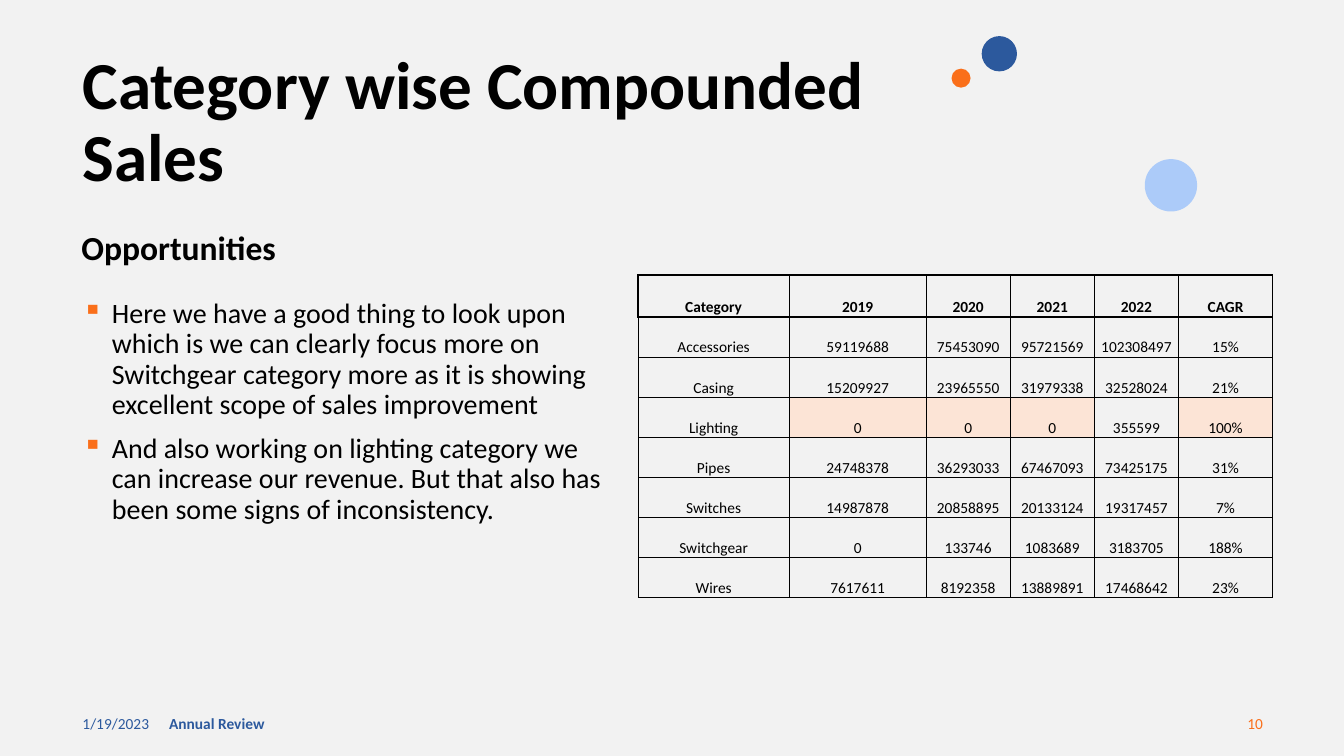
import pptx
import pptx.util
import pptx.dml.color
import pptx.enum.shapes
import pptx.enum.text
import pptx.oxml
import pptx.oxml.ns

Cm = pptx.util.Cm
Pt = pptx.util.Pt
ANCHOR = pptx.enum.text.MSO_ANCHOR
ALIGN = pptx.enum.text.PP_ALIGN
NAMESPACE = pptx.oxml.ns.nsdecls("a")
BLACK, BLUE, ORANGE = "000000", "2C599D", "FA6F1A"


def color(hex_string):
    return pptx.dml.color.RGBColor.from_string(hex_string)


def format_text(paragraph, text, size, hex_string=BLACK, bold=False, **paragraph_format):
    paragraph.text = text
    for name, value in paragraph_format.items():
        setattr(paragraph, name, value)
    font_format = {"name": "Calibri", "size": Pt(size), "bold": bold}
    for name, value in font_format.items():
        setattr(paragraph.font, name, value)
    paragraph.font.color.rgb = color(hex_string)


presentation = pptx.Presentation()
presentation.slide_width = Cm(33.87)
presentation.slide_height = Cm(19.05)
slide = presentation.slides.add_slide(presentation.slide_layouts[6])
slide.background.fill.solid()
slide.background.fill.fore_color.rgb = color("F2F2F2")

# Decorative circles: left, top, diameter, colour
circles = [
    (28.85, 4.01, 1.32, "ACCBF9"),
    (24.74, 0.91, 0.89, BLUE),
    (23.98, 1.73, 0.48, ORANGE),
]
for left, top, diameter, hex_string in circles:
    circle = slide.shapes.add_shape(
        pptx.enum.shapes.MSO_SHAPE.OVAL, Cm(left), Cm(top), Cm(diameter), Cm(diameter)
    )
    circle.shadow.inherit = False
    circle.fill.solid()
    circle.fill.fore_color.rgb = color(hex_string)
    circle.line.fill.background()

# Title, heading and footer: left, top, width, height, anchor, text, format
heading_format = {"bold": True, "line_spacing": 0.9}
single_texts = [
    (1.83, 1.17, 22.99, 2.31, ANCHOR.TOP, "Category wise Compounded Sales",
     {"size": 48, **heading_format}),
    (1.8, 5.72, 14.12, 1.22, ANCHOR.TOP, "Opportunities",
     {"size": 24, **heading_format}),
    (1.83, 17.73, 7.62, 1.02, ANCHOR.MIDDLE, "1/19/2023",
     {"size": 11, "hex_string": BLUE}),
    (4.01, 17.73, 11.43, 1.02, ANCHOR.MIDDLE, "Annual Review",
     {"size": 11, "hex_string": BLUE, "bold": True}),
    (24.46, 17.73, 7.62, 1.02, ANCHOR.MIDDLE, "10",
     {"size": 11, "hex_string": ORANGE, "alignment": ALIGN.RIGHT}),
]
for left, top, width, height, anchor, text, text_format in single_texts:
    frame = slide.shapes.add_textbox(Cm(left), Cm(top), Cm(width), Cm(height)).text_frame
    frame.word_wrap = True
    frame.vertical_anchor = anchor
    format_text(frame.paragraphs[0], text, **text_format)

# Bulleted opportunities
opportunities = [
    "Here we have a good thing to look upon which is we can clearly focus more on "
    "Switchgear category more as it is showing excellent scope of sales improvement",
    "And also working on lighting category we can increase our revenue. "
    "But that also has been some signs of inconsistency.",
]
frame = slide.shapes.add_textbox(Cm(1.83), Cm(7.42), Cm(14.07), Cm(8.15)).text_frame
frame.word_wrap = True
for index, text in enumerate(opportunities):
    paragraph = frame.add_paragraph() if index else frame.paragraphs[0]
    properties = paragraph._p.get_or_add_pPr()
    properties.set("marL", str(Cm(0.74)))
    properties.set("indent", str(-Cm(0.74)))
    for bullet in (
        f'<a:buClr {NAMESPACE}><a:srgbClr val="{ORANGE}"/></a:buClr>',
        f'<a:buChar {NAMESPACE} char="▪"/>',
    ):
        properties.append(pptx.oxml.parse_xml(bullet))
    format_text(paragraph, text, 20, line_spacing=0.9, space_before=Pt(10 if index else 0))

# Sales table
sales = [
    ("Category", "2019", "2020", "2021", "2022", "CAGR"),
    ("Accessories", "59119688", "75453090", "95721569", "102308497", "15%"),
    ("Casing", "15209927", "23965550", "31979338", "32528024", "21%"),
    ("Lighting", "0", "0", "0", "355599", "100%"),
    ("Pipes", "24748378", "36293033", "67467093", "73425175", "31%"),
    ("Switches", "14987878", "20858895", "20133124", "19317457", "7%"),
    ("Switchgear", "0", "133746", "1083689", "3183705", "188%"),
    ("Wires", "7617611", "8192358", "13889891", "17468642", "23%"),
]
column_widths = [3.81, 3.45, 2.12, 2.12, 2.12, 2.37]
row_heights = [1.06] + [1.01] * 7
highlighted = {(3, 1), (3, 2), (3, 3), (3, 5)}
cell_format = {
    "margin_left": 0, "margin_right": 0, "margin_top": 0, "margin_bottom": 0,
    "vertical_anchor": ANCHOR.BOTTOM,
}
table = slide.shapes.add_table(
    len(sales), len(column_widths), Cm(16.08), Cm(6.93),
    Cm(sum(column_widths)), Cm(sum(row_heights)),
).table
for column, width in zip(table.columns, column_widths):
    column.width = Cm(width)
for row, height in zip(table.rows, row_heights):
    row.height = Cm(height)

for row_index, values in enumerate(sales):
    header = row_index == 0
    for column_index, value in enumerate(values):
        cell = table.cell(row_index, column_index)
        for name, setting in cell_format.items():
            setattr(cell, name, setting)
        format_text(cell.text_frame.paragraphs[0], value, 11,
                    bold=header, alignment=ALIGN.CENTER)
        if (row_index, column_index) in highlighted:
            cell.fill.solid()
            cell.fill.fore_color.rgb = color("FCE4D6")
        else:
            cell.fill.background()

        # Borders: a heavier frame around the header row
        border_widths = {
            "lnL": 1 if header and column_index == 0 else 0.5,
            "lnR": 1 if header and column_index == len(values) - 1 else 0.5,
            "lnT": 1 if row_index <= 1 else 0.5,
            "lnB": 1 if header else 0.5,
        }
        for position, (side, width) in enumerate(border_widths.items()):
            border = pptx.oxml.parse_xml(
                f'<a:{side} {NAMESPACE} w="{Pt(width)}"><a:solidFill>'
                f'<a:srgbClr val="{BLACK}"/></a:solidFill></a:{side}>'
            )
            cell._tc.get_or_add_tcPr().insert(position, border)

presentation.save("out.pptx")
